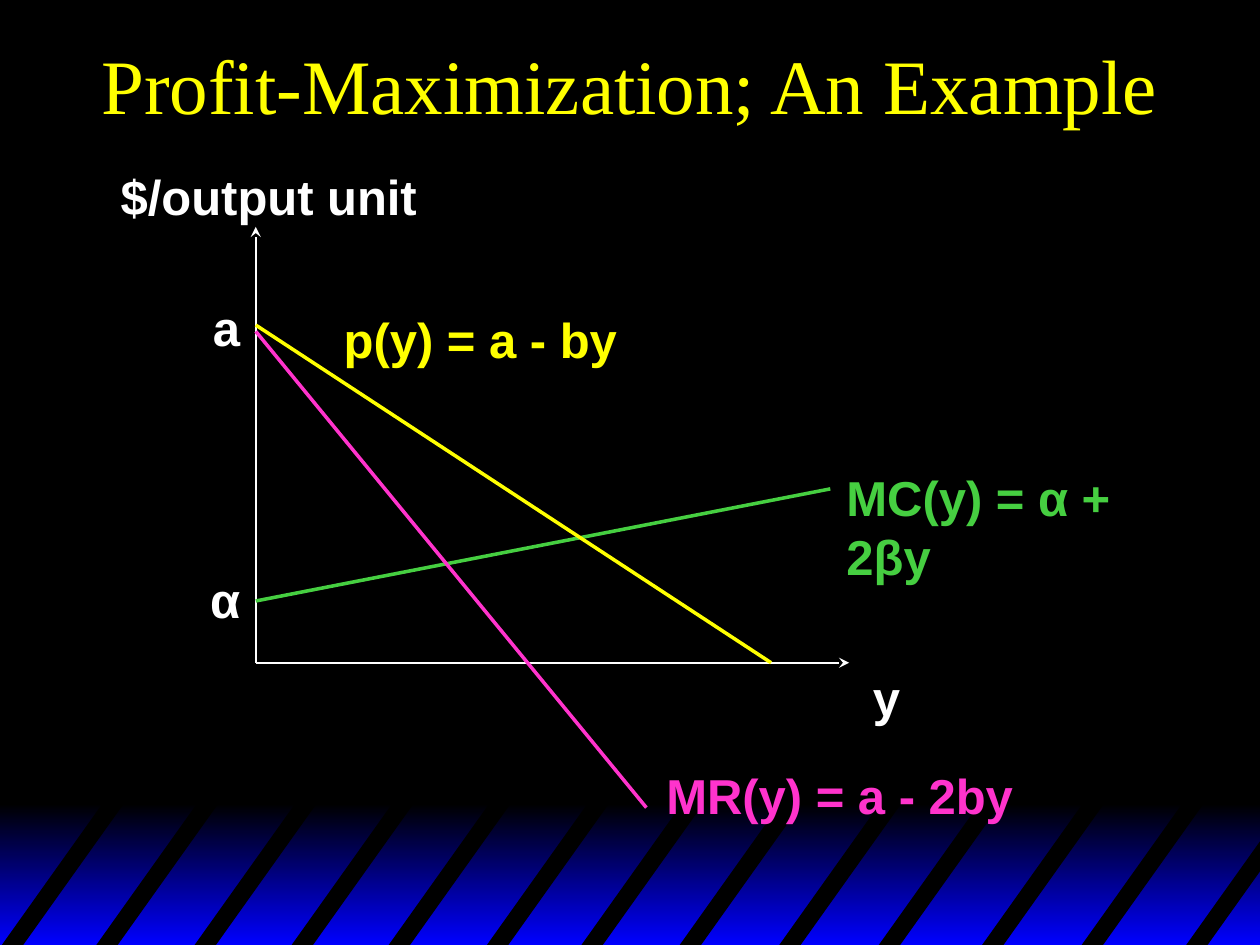
from lxml.etree import SubElement
from pptx import Presentation
from pptx.dml.color import RGBColor
from pptx.enum.shapes import MSO_CONNECTOR, MSO_SHAPE
from pptx.enum.text import MSO_ANCHOR, MSO_AUTO_SIZE, PP_ALIGN
from pptx.oxml.ns import qn
from pptx.util import Inches, Pt

W, H = 10, 7.5
COLORS = {"black": "000000", "blue": "0000FF", "white": "FFFFFF",
          "yellow": "FFFF00", "green": "46CF41", "pink": "FF33CC"}
TITLE = "Profit-Maximization; An Example"
ORIGIN_X, ORIGIN_Y = 2.03, 5.26
AXES = [(ORIGIN_X, 1.8), (6.74, ORIGIN_Y)]
CURVES = [
    ("green", 4.77, (6.59, 3.88)),
    ("yellow", 2.58, (6.12, ORIGIN_Y)),
    ("pink", 2.63, (5.13, 6.41)),
]
LABELS = [
    ("$/output unit", "white", 0.86, 1.27, 2.56, False),
    ("y", "white", 6.83, 5.25, 0.42, False),
    ("MC(y) = α + 2βy", "green", 6.62, 3.66, 3.06, True),
    ("p(y) = a - by", "yellow", 2.63, 2.41, 2.37, True),
    ("MR(y) = a - 2by", "pink", 5.19, 6.03, 2.96, True),
    ("a", "white", 1.59, 2.31, 0.42, False),
    ("α", "white", 1.57, 4.47, 0.45, False),
]
LABEL_H = 0.57
BAND_TOP, BAND_RIGHT = 6.38, 10.02
STRIPE_LEFTS = [0, 0.75, 1.53, 2.3, 3.07, 3.85, 4.6, 5.38, 6.17, 6.96, 7.78, 8.57, 9.4]
STRIPE_TOP, STRIPE_BOTTOM, STRIPE_W, STRIPE_SLANT = 6.34, 7.52, 0.17, 0.84


def color(name):
    return RGBColor.from_string(COLORS[name])


def add_band(s):
    sp = s.shapes.add_shape(MSO_SHAPE.RECTANGLE, 0, Inches(BAND_TOP),
                            Inches(BAND_RIGHT), Inches(H - BAND_TOP))
    sp.shadow.inherit = False
    sp.line.fill.background()
    sp.fill.gradient()
    sp.fill.gradient_angle = 270
    for stop, name, position in zip(sp.fill.gradient_stops, ("black", "blue"), (0, 1)):
        stop.color.rgb = color(name)
        stop.position = position


def stripe_end(left):
    run = min(STRIPE_SLANT, BAND_RIGHT - left)
    return left + run, STRIPE_BOTTOM - run / STRIPE_SLANT * (STRIPE_BOTTOM - STRIPE_TOP)


def add_stripe(s, left):
    right = left + STRIPE_W
    points = [(left, STRIPE_BOTTOM), stripe_end(left), stripe_end(right), (right, STRIPE_BOTTOM)]
    (x, y), *rest = [(Inches(px), Inches(py)) for px, py in points]
    builder = s.shapes.build_freeform(x, y)
    builder.add_line_segments(rest, close=True)
    sp = builder.convert_to_shape()
    sp.shadow.inherit = False
    sp.fill.solid()
    sp.fill.fore_color.rgb = color("black")
    sp.line.fill.background()


def add_line(s, start, end, name, width, arrow=False):
    line = s.shapes.add_connector(MSO_CONNECTOR.STRAIGHT, *map(Inches, start + end))
    line.line.color.rgb = color(name)
    line.line.width = Pt(width)
    if arrow:
        SubElement(line.line._get_or_add_ln(), qn("a:tailEnd"), type="stealth")
    SubElement(line._element.spPr, qn("a:effectLst"))


def add_text(s, text, name, box, size, font, bold=False, wrap=True):
    tf = s.shapes.add_textbox(*map(Inches, box)).text_frame
    tf.word_wrap = wrap
    p = tf.paragraphs[0]
    p.text = text
    p.font.name, p.font.size, p.font.bold = font, Pt(size), bold
    p.font.color.rgb = color(name)
    return tf


def main():
    """Build the profit-maximization slide."""
    prs = Presentation()
    prs.slide_width, prs.slide_height = Inches(W), Inches(H)
    s = prs.slides.add_slide(prs.slide_layouts[6])
    s.background.fill.solid()
    s.background.fill.fore_color.rgb = color("black")

    add_band(s)
    for left in STRIPE_LEFTS:
        add_stripe(s, left)

    tf = add_text(s, TITLE, "yellow", (0, 0, W, 1.33), 44, "Times New Roman")
    tf.vertical_anchor = MSO_ANCHOR.MIDDLE
    tf.paragraphs[0].alignment = PP_ALIGN.CENTER

    for end in AXES:
        add_line(s, (ORIGIN_X, ORIGIN_Y), end, "white", 1, arrow=True)
    for name, intercept, end in CURVES:
        add_line(s, (ORIGIN_X, intercept), end, name, 2)
    for text, name, x, y, w, wrap in LABELS:
        tf = add_text(s, text, name, (x, y, w, LABEL_H), 28, "Arial", True, wrap)
        tf.auto_size = MSO_AUTO_SIZE.SHAPE_TO_FIT_TEXT

    prs.save("out.pptx")


if __name__ == "__main__":
    main()
